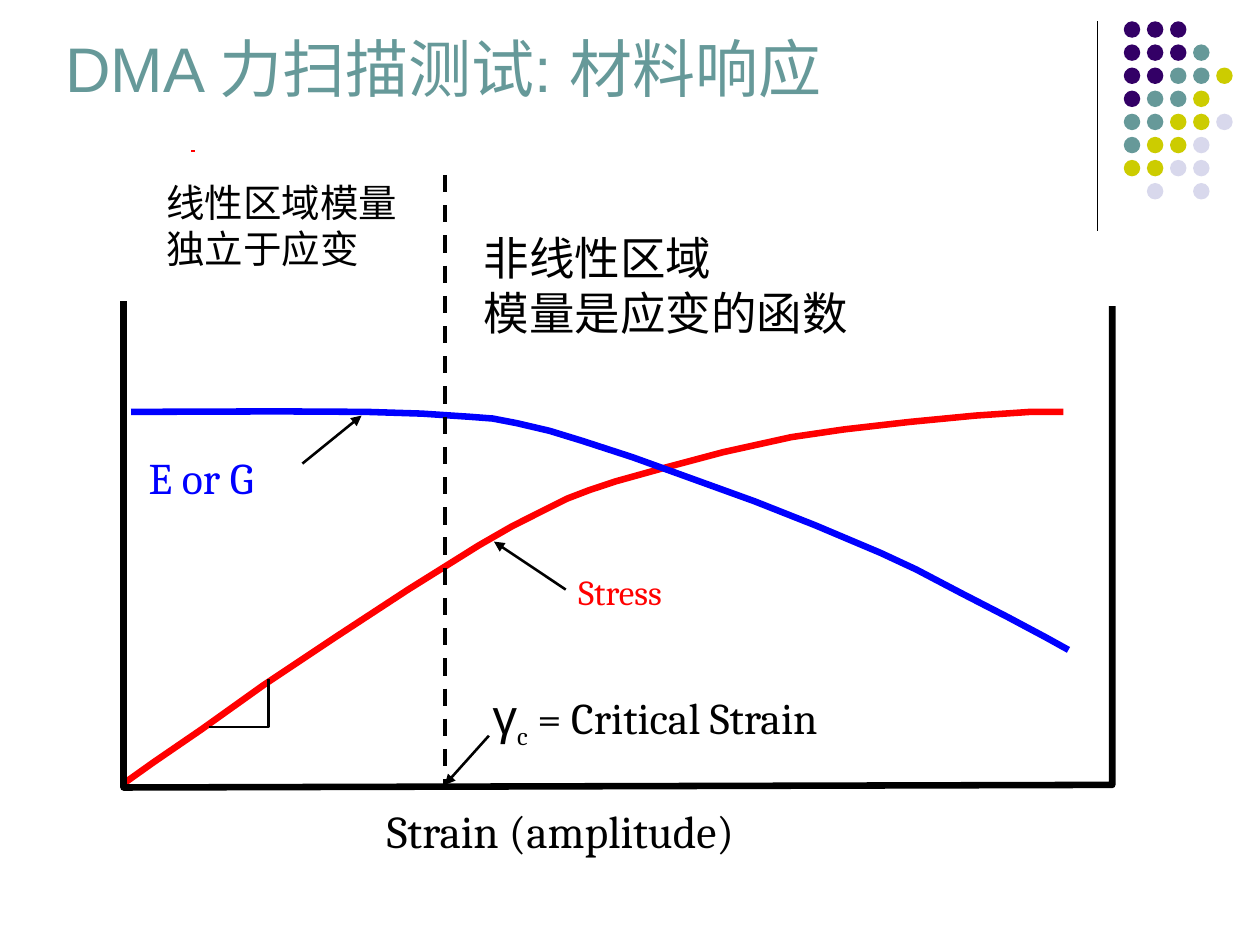
import pptx
import pptx.util
import pptx.dml.color
import pptx.enum.dml
import pptx.enum.shapes
import pptx.enum.text
import pptx.oxml.ns
from lxml import etree

Pt = pptx.util.Pt
RGB = pptx.dml.color.RGBColor
ANCHOR = pptx.enum.text.MSO_ANCHOR

BLACK = RGB(0x00, 0x00, 0x00)
RED = RGB(0xFF, 0x00, 0x00)
BLUE = RGB(0x00, 0x00, 0xFF)
TEAL = RGB(0x66, 0x99, 0x99)
PURPLE = RGB(0x33, 0x00, 0x66)
LIME = RGB(0xCC, 0xCC, 0x00)
PALE = RGB(0xD8, 0xD8, 0xEC)

# One letter per dot, row by row; a blank leaves a gap
DOTS = ["PPP", "PPPT", "PPTTL", "PTTL", "TTLLV", "TLLV", "LLVV", " V V"]
DOT_FILL = {"P": PURPLE, "T": TEAL, "L": LIME, "V": PALE}

# Outlines in points from the top left corner of the plot
STRESS = [(0, 275.8), (17.3, 263.5), (44.6, 244.8), (79.9, 219.6),
          (121, 192.2), (162.7, 164.9), (203, 139.7), (221.8, 128.9),
          (239, 120.2), (253.4, 113), (266.4, 108), (281.5, 103),
          (307.4, 95.8), (342.7, 86.4), (381.6, 77.8), (411.8, 73.4),
          (449.3, 69.1), (486.7, 65.5), (517.7, 63.4), (537.1, 63.4)]
MODULUS = [(4.3, 63.4), (87.8, 63.1), (139, 63.4), (170.6, 64.4),
           (198, 66.2), (211, 67.2), (224.6, 69.8), (243.4, 74.2),
           (262, 79.9), (290.9, 89.3), (324.7, 101.5), (360.7, 114.5),
           (395.3, 128.2), (432.7, 144), (452.9, 153.4), (478.8, 167),
           (505.4, 180.7), (527, 192.2), (540, 199.4)]
SLOPE = [(49, 243.4), (82.8, 243.4), (82.8, 216)]


def add_line(slide, start, end, color, width, dash=False, arrow=False):
    line = slide.shapes.add_connector(
        pptx.enum.shapes.MSO_CONNECTOR.STRAIGHT,
        Pt(start[0]), Pt(start[1]), Pt(end[0]), Pt(end[1]))
    line.line.color.rgb = color
    line.line.width = Pt(width)
    if dash:
        line.line.dash_style = pptx.enum.dml.MSO_LINE.DASH
    if arrow:
        tail = etree.SubElement(line.line._get_or_add_ln(),
                                pptx.oxml.ns.qn("a:tailEnd"))
        tail.set("type", "triangle")
    etree.SubElement(line._element.spPr, pptx.oxml.ns.qn("a:effectLst"))


def add_path(slide, points, color, width):
    spots = [(Pt(x), Pt(y)) for x, y in points]
    build = slide.shapes.build_freeform(*spots[0], scale=1.0)
    build.add_line_segments(spots[1:], close=False)
    shape = build.convert_to_shape()
    shape.shadow.inherit = False
    shape.fill.background()
    shape.line.color.rgb = color
    shape.line.width = Pt(width)


def set_frame(frame, anchor):
    frame.word_wrap = True
    frame.auto_size = pptx.enum.text.MSO_AUTO_SIZE.NONE
    frame.vertical_anchor = anchor
    frame.margin_left = frame.margin_right = 0
    frame.margin_top = frame.margin_bottom = 0


def set_font(font, name, size, color):
    font.name = name
    font.size = Pt(size)
    font.color.rgb = color


def add_label(slide, box, lines, size, color):
    shape = slide.shapes.add_textbox(*map(Pt, box))
    frame = shape.text_frame
    set_frame(frame, ANCHOR.TOP)
    frame.text = "\n".join(lines)
    for para in frame.paragraphs:
        for run in para.runs:
            set_font(run.font, "Cambria", size, color)
    return frame.paragraphs[0]


def add_title(slide, box):
    title = slide.shapes.title
    title.left, title.top, title.width, title.height = map(Pt, box)
    frame = title.text_frame
    set_frame(frame, ANCHOR.BOTTOM)
    frame.text = "DMA 力扫描测试: 材料响应"
    para = frame.paragraphs[0]
    para.alignment = pptx.enum.text.PP_ALIGN.LEFT
    set_font(para.runs[0].font, "Arial", 36, TEAL)


def add_dots(slide, box):
    left, top, width, height = box
    pitch, size = 13.2, 9.4
    # Rule beside the dots
    add_line(slide, (left, top), (left, top + height), BLACK, 0.75)
    # Dot grid, set against the right edge
    first = left + width - 4 * pitch - size
    for row, marks in enumerate(DOTS):
        for col, mark in enumerate(marks):
            if mark == " ":
                continue
            dot = slide.shapes.add_shape(
                pptx.enum.shapes.MSO_SHAPE.OVAL,
                Pt(first + col * pitch), Pt(top + row * pitch),
                Pt(size), Pt(size))
            dot.shadow.inherit = False
            dot.fill.solid()
            dot.fill.fore_color.rgb = DOT_FILL[mark]
            dot.line.fill.background()


def add_plot(slide, box):
    left, top, width, height = box

    def move(points):
        return [(left + x, top + y) for x, y in points]

    def label(x, y, wide, high, lines, size, color):
        return add_label(slide, (left + x, top + y, wide, high),
                         lines, size, color)

    # Curves and axes
    axes = [(0, 0), (0, height), (width, height - 1.5), (width, 3)]
    for points, color, weight in [(STRESS, RED, 3.75), (MODULUS, BLUE, 3.75),
                                  (axes, BLACK, 3.75), (SLOPE, BLACK, 1.47)]:
        add_path(slide, move(points), color, weight)

    # Critical strain limit
    limit = 183.6
    add_line(slide, *move([(limit, -72), (limit, height - 1)]), BLACK, 2.47,
             dash=True)

    # Arrows
    for ends in [[(102.2, 92.9), (136, 65.5)],
                 [(252.7, 164.9), (211.7, 137.5)],
                 [(208.8, 248.4), (limit, 276.5)]]:
        add_line(slide, *move(ends), BLACK, 1.47, arrow=True)

    # Labels
    label(150.5, 286.6, 208, 29.5, ["Strain (amplitude)"], 26, BLACK)
    label(24.5, -69.8, 139.7, 110, ["线性区域模量独立于应变"], 22, BLACK)
    label(14.4, 85.7, 76.3, 30, ["E or G"], 25, BLUE)
    label(205.9, -40.3, 350, 62.6, ["非线性区域", "模量是应变的函数"], 26, BLACK)
    label(259.9, 154, 68.4, 29.5, ["Stress"], 20, RED)

    # Critical strain label with its subscript
    para = label(210.9, 219.6, 214.6, 33, ["γ"], 25, BLACK)
    set_font(para.runs[0].font, "Arial", 28, BLACK)
    for text in ["c", " = Critical Strain"]:
        run = para.add_run()
        run.text = text
        set_font(run.font, "Cambria", 25, BLACK)
    para.runs[1].font._element.set("baseline", "-25000")


def main():
    deck = pptx.Presentation()
    deck.slide_width, deck.slide_height = Pt(720), Pt(540)
    slide = deck.slides.add_slide(deck.slide_layouts[5])
    add_dots(slide, (627, 12.2, 77.4, 119.6))
    add_title(slide, (37.4, 0, 680, 59.8))
    # Small red tick above the plot
    add_line(slide, (109.4, 86.4), (111.6, 86.4), RED, 1.47)
    add_plot(slide, (70.6, 172, 565, 278))
    deck.save("out.pptx")


if __name__ == "__main__":
    main()
